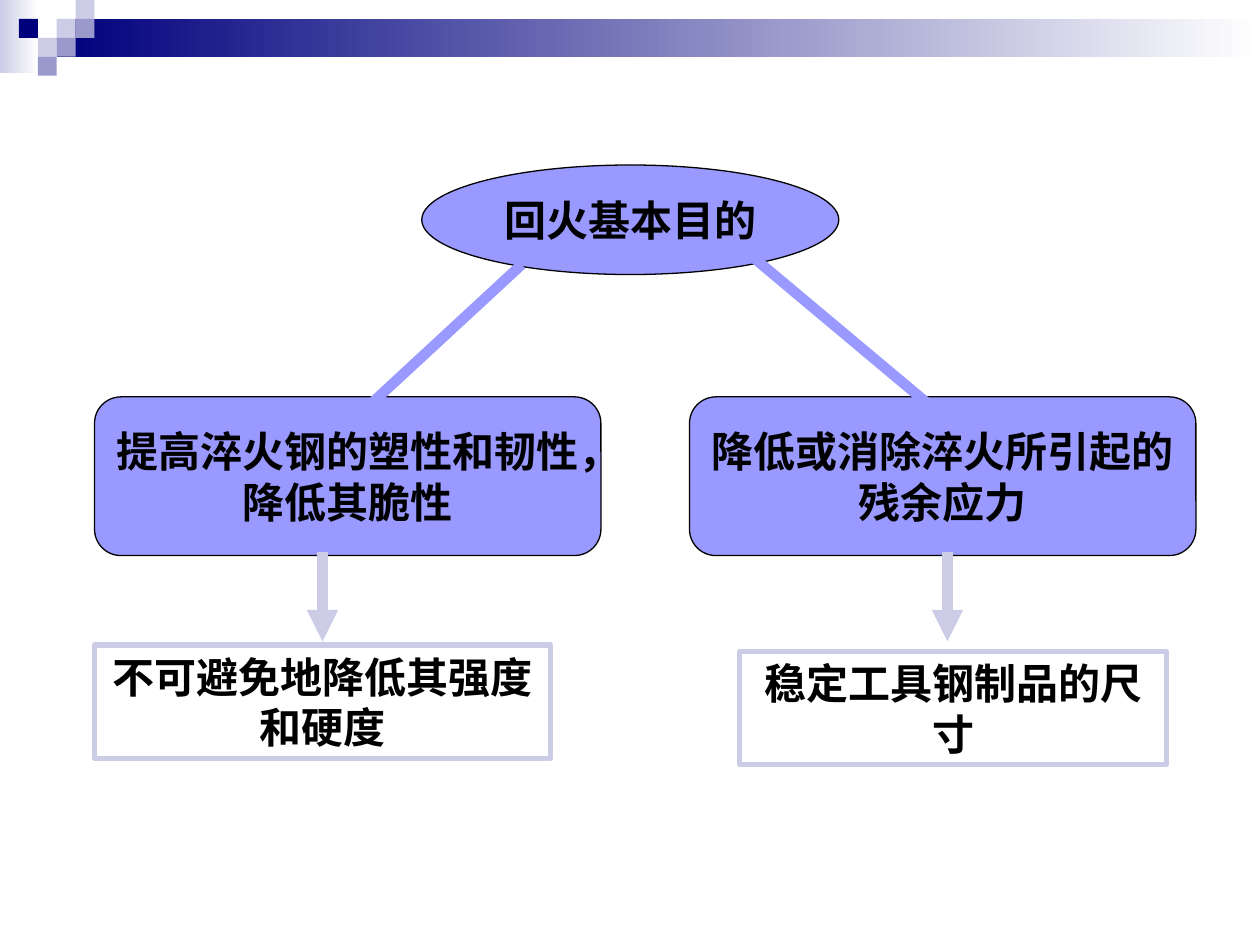
from lxml.etree import SubElement
from pptx import Presentation
from pptx.dml.color import RGBColor
from pptx.enum.shapes import MSO_CONNECTOR, MSO_SHAPE
from pptx.enum.text import MSO_ANCHOR, MSO_AUTO_SIZE, PP_ALIGN
from pptx.oxml.ns import qn
from pptx.util import Pt

BLACK = RGBColor(0x00, 0x00, 0x00)
WHITE = RGBColor(0xFF, 0xFF, 0xFF)
NAVY = RGBColor(0x00, 0x00, 0x7D)
LAVENDER = RGBColor(0xCC, 0xCC, 0xE6)
MUTED_BLUE = RGBColor(0x99, 0x99, 0xCC)
PERIWINKLE = RGBColor(0x99, 0x99, 0xFF)

FONT = "Noto Sans CJK SC"
FONT_FORMAT = {"name": FONT, "size": Pt(24), "bold": True}
NODE_FRAME = {"vertical_anchor": MSO_ANCHOR.MIDDLE, "word_wrap": True}
TITLE_FRAME = {"vertical_anchor": MSO_ANCHOR.MIDDLE, "word_wrap": False}
RESULT_FRAME = {"vertical_anchor": MSO_ANCHOR.TOP, "word_wrap": True,
                "auto_size": MSO_AUTO_SIZE.SHAPE_TO_FIT_TEXT}


def set_attributes(target, values):
    for name, value in values.items():
        setattr(target, name, value)


def add_box(slide, kind, box, fill=None, line=None, line_width=0.75):
    """Add a preset shape; fill is None, one colour, or a left-to-right colour pair."""
    shape = slide.shapes.add_shape(kind, *map(Pt, box))
    shape.shadow.inherit = False
    if fill is None:
        shape.fill.background()
    elif isinstance(fill, RGBColor):
        shape.fill.solid()
        shape.fill.fore_color.rgb = fill
    else:
        shape.fill.gradient()
        shape.fill.gradient_angle = 0
        for stop, color in zip(shape.fill.gradient_stops, fill):
            stop.color.rgb = color
    if line is None:
        shape.line.fill.background()
    else:
        shape.line.color.rgb = line
        shape.line.width = Pt(line_width)
    return shape


def add_label(shape, text, frame_format):
    set_attributes(shape.text_frame, frame_format)
    paragraph = shape.text_frame.paragraphs[0]
    paragraph.alignment = PP_ALIGN.CENTER
    run = paragraph.add_run()
    run.text = text
    set_attributes(run.font, FONT_FORMAT)
    run.font.color.rgb = BLACK
    SubElement(run._r.get_or_add_rPr(), qn("a:ea"), typeface=FONT)


def add_link(slide, start, end, color, arrow=False):
    link = slide.shapes.add_connector(MSO_CONNECTOR.STRAIGHT, *map(Pt, start + end))
    link.line.color.rgb = color
    link.line.width = Pt(6)
    if arrow:
        SubElement(link.line._get_or_add_ln(), qn("a:tailEnd"), type="triangle")
    SubElement(link._element.spPr, qn("a:effectLst"))


def add_header(slide, left, top, width):
    """Draw the fading bands and the mosaic of squares on a grid of one cell size."""
    cell = 10.8
    bands = [((left, top, 22, 42), LAVENDER),
             ((left + 3 * cell, top + cell, width - 3 * cell, 2 * cell), NAVY)]
    for box, color in bands:
        add_box(slide, MSO_SHAPE.RECTANGLE, box, (color, WHITE))
    squares = {
        LAVENDER: [(3, 1), (4, 0), (2, 2)],
        MUTED_BLUE: [(4, 1), (3, 2), (2, 3)],
        NAVY: [(1, 1)],
    }
    for color, cells in squares.items():
        for column, row in cells:
            box = (left + column * cell, top + row * cell, cell, cell)
            add_box(slide, MSO_SHAPE.RECTANGLE, box, color)


def add_title(slide, box, text):
    shape = add_box(slide, MSO_SHAPE.OVAL, box, PERIWINKLE, BLACK)
    add_label(shape, text, TITLE_FRAME)


def add_purpose(slide, box, text, link_start, link_x):
    """Add a purpose node and its link down from the title."""
    shape = add_box(slide, MSO_SHAPE.ROUNDED_RECTANGLE, box, PERIWINKLE, BLACK)
    add_label(shape, text, NODE_FRAME)
    add_link(slide, link_start, (link_x, box[1] + 3.6), PERIWINKLE)


def add_result(slide, box, text, arrow_x):
    """Add a result box and the arrow that leads down to it."""
    shape = add_box(slide, MSO_SHAPE.RECTANGLE, box, line=LAVENDER, line_width=3)
    add_label(shape, text, RESULT_FRAME)
    add_link(slide, (arrow_x, 315.4), (arrow_x, 366.5), LAVENDER, arrow=True)


def main():
    presentation = Presentation()
    presentation.slide_width, presentation.slide_height = Pt(720), Pt(540)
    slide = presentation.slides.add_slide(presentation.slide_layouts[6])
    add_header(slide, 0, 0, 720)
    add_title(slide, (241, 94.3, 238.3, 62.6), "回火基本目的")
    add_purpose(slide, (54, 226.8, 289.4, 90.7),
                "提高淬火钢的塑性和韧性，降低其脆性", (298.1, 151.2), 212.4)
    add_purpose(slide, (394, 226.8, 289.4, 90.7),
                "降低或消除淬火所引起的残余应力", (428.4, 145.4), 529.9)
    add_result(slide, (54, 368.6, 260.6, 64.8), "不可避免地降低其强度和硬度", 184.3)
    add_result(slide, (422.6, 372.3, 244.1, 64.8), "稳定工具钢制品的尺寸", 541.4)
    presentation.save("out.pptx")


if __name__ == "__main__":
    main()
